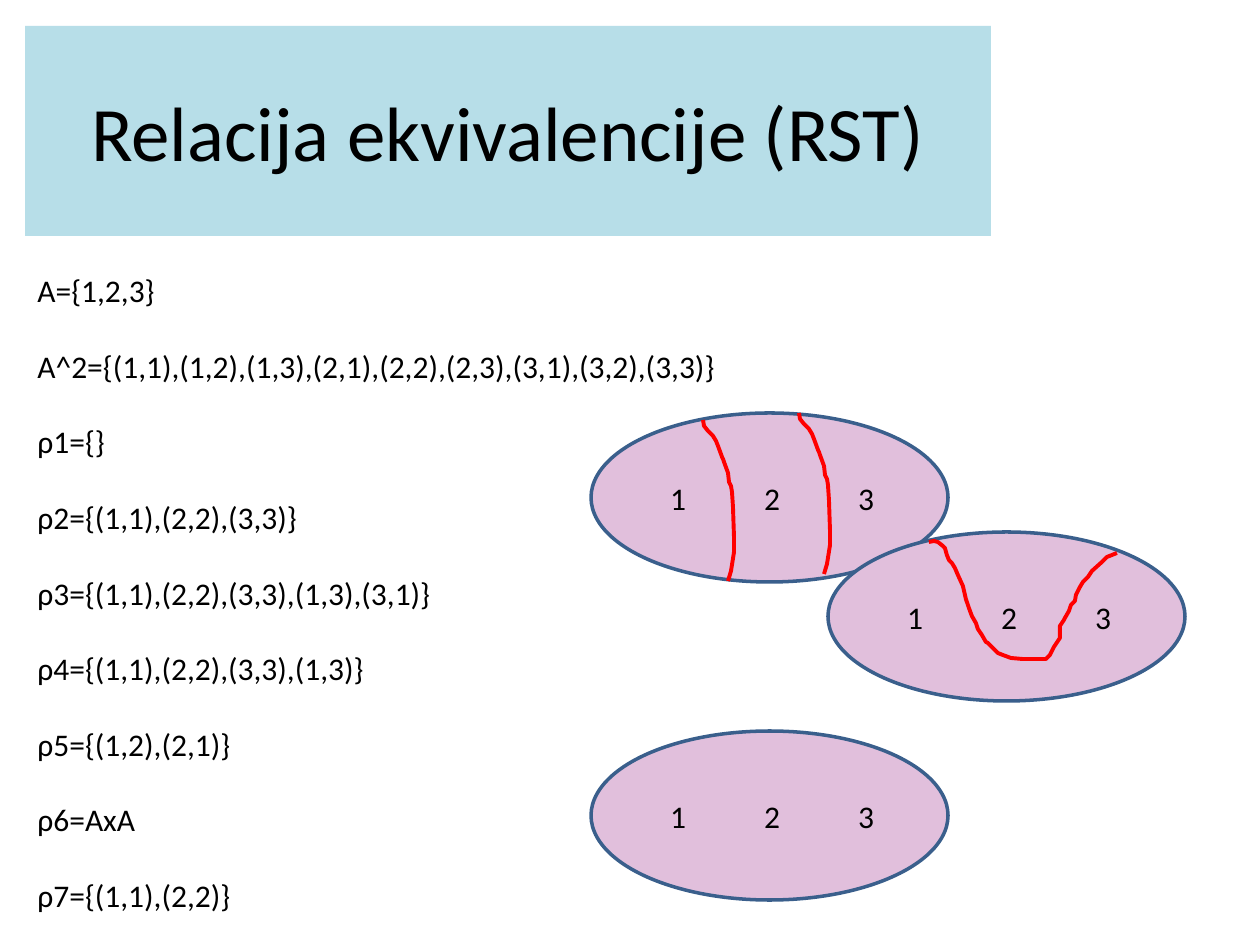
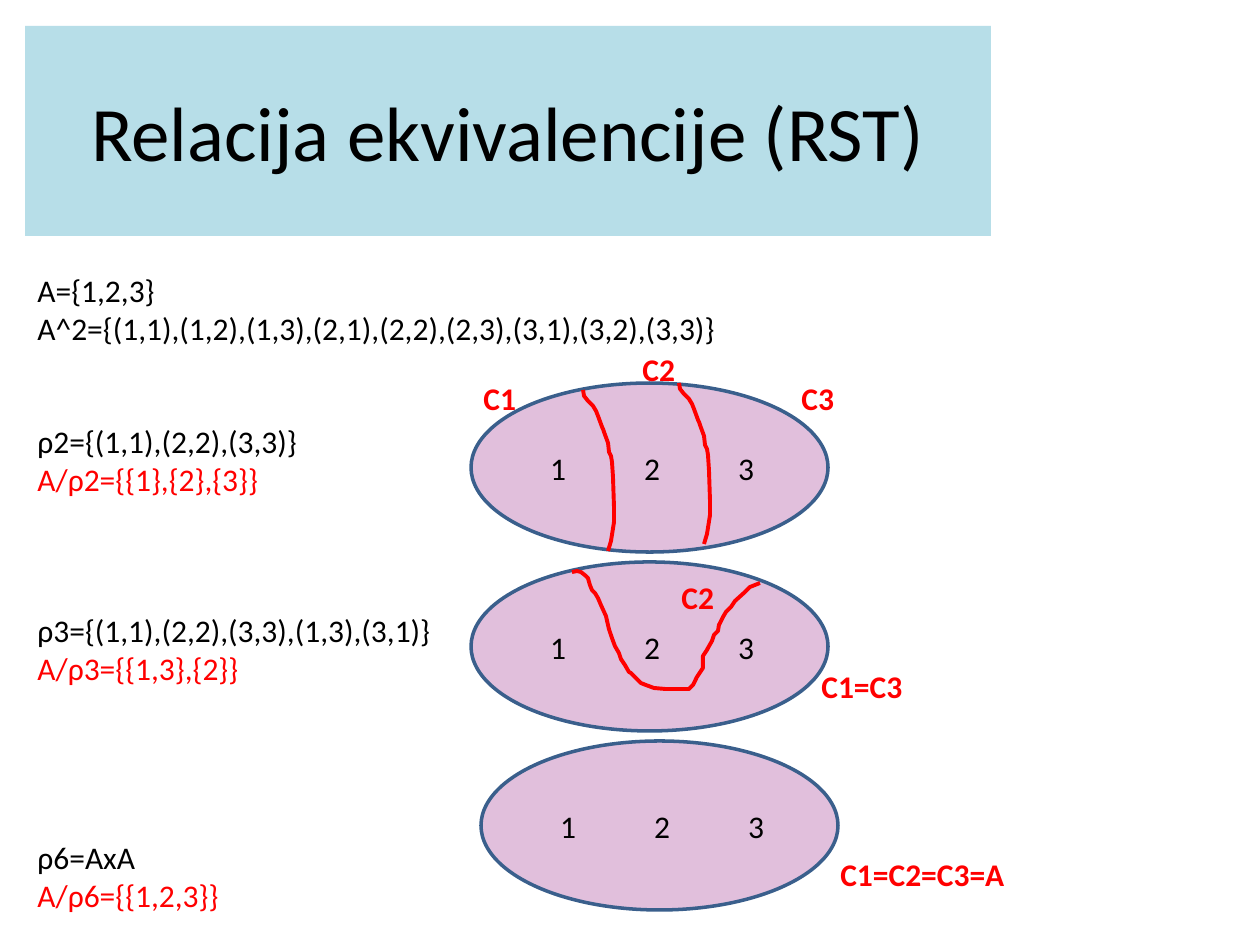
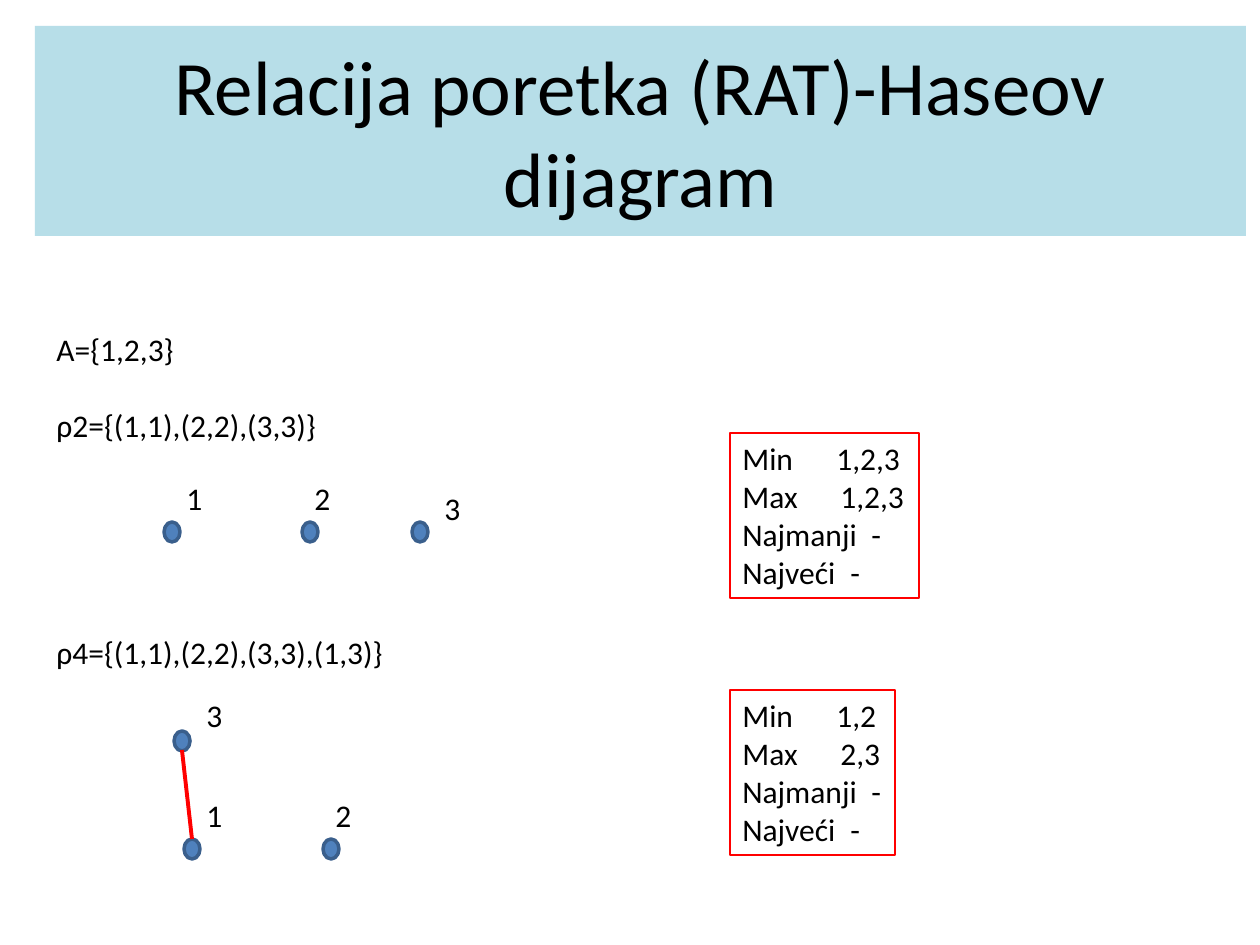
from lxml.etree import SubElement
from pptx import Presentation
from pptx.dml.color import RGBColor
from pptx.enum.shapes import MSO_CONNECTOR, MSO_SHAPE
from pptx.enum.text import MSO_ANCHOR, PP_ALIGN
from pptx.oxml.ns import qn
from pptx.util import Pt

PIXEL = 914400 / 126
FONT = "Calibri"
BLACK, RED = "000000", "FF0000"
BAND, SET_FILL, OUTLINE, NODE_FILL = "B7DEE8", "E1BFDC", "3A5F8C", "4F81BD"
LINE_HEIGHT = 21.6
SET_WIDTH, SET_HEIGHT = 357, 169
DIGIT_STEP = 94


def color(value):
    return RGBColor.from_string(value)


def write(shape, lines, size=18, bold=False, align=PP_ALIGN.LEFT, anchor=MSO_ANCHOR.TOP):
    frame = shape.text_frame
    frame.word_wrap = True
    frame.vertical_anchor = anchor
    for index, (text, text_color, blank_lines, stops) in enumerate(lines):
        paragraph = frame.paragraphs[0] if index == 0 else frame.add_paragraph()
        paragraph.alignment = align
        paragraph.space_before = Pt(blank_lines * LINE_HEIGHT)
        if stops:
            tab_list = SubElement(paragraph._p.get_or_add_pPr(), qn("a:tabLst"))
            for stop in stops:
                SubElement(tab_list, qn("a:tab"), pos=str(round(stop * PIXEL)), algn="l")
        run = paragraph.add_run()
        run.text = text
        run.font.name = FONT
        run.font.size = Pt(size)
        run.font.bold = bold
        run.font.color.rgb = color(text_color)


presentation = Presentation()
presentation.slide_width = round(1260 * PIXEL)
presentation.slide_height = round(945 * PIXEL)

equivalence = "Relacija ekvivalencije (RST)"
order = "Relacija poretka (RAT)-Haseov dijagram"
slides = []
for title, left, width in [(equivalence, 25, 966), (equivalence, 25, 966), (order, 35, 1211)]:
    slide = presentation.slides.add_slide(presentation.slide_layouts[6])
    band = slide.shapes.add_shape(
        MSO_SHAPE.RECTANGLE, *[round(v * PIXEL) for v in (left, 26, width, 210)])
    band.shadow.inherit = False
    band.fill.solid()
    band.fill.fore_color.rgb = color(BAND)
    band.line.fill.background()
    write(band, [(title, BLACK, 0, ())], 44, False, PP_ALIGN.CENTER, MSO_ANCHOR.MIDDLE)
    slides.append(slide)
relations_slide, classes_slide, order_slide = slides

product = "A^2={(1,1),(1,2),(1,3),(2,1),(2,2),(2,3),(3,1),(3,2),(3,3)}"
diagonal = "ρ2={(1,1),(2,2),(3,3)}"
symmetric = "ρ3={(1,1),(2,2),(3,3),(1,3),(3,1)}"
ordered = "ρ4={(1,1),(2,2),(3,3),(1,3)}"
relations = ["A={1,2,3}", product, "ρ1={}", diagonal, symmetric, ordered,
             "ρ5={(1,2),(2,1)}", "ρ6=AxA", "ρ7={(1,1),(2,2)}"]
bodies = [
    (relations_slide, 25, 265, 712,
     [(text, BLACK, min(index, 1), ()) for index, text in enumerate(relations)]),
    (classes_slide, 25, 265, 712, [
        ("A={1,2,3}", BLACK, 0, ()),
        (product, BLACK, 0, ()),
        (diagonal, BLACK, 2, ()),
        ("A/ρ2={{1},{2},{3}}", RED, 0, ()),
        (symmetric, BLACK, 3, ()),
        ("A/ρ3={{1,3},{2}}", RED, 0, ()),
        ("ρ6=AxA", BLACK, 4, ()),
        ("A/ρ6={{1,2,3}}", RED, 0, ()),
    ]),
    (order_slide, 44, 324, 534, [
        ("A={1,2,3}", BLACK, 0, ()),
        (diagonal, BLACK, 1, ()),
        (ordered, BLACK, 5, ()),
    ]),
]
for slide, left, top, width, lines in bodies:
    body = slide.shapes.add_textbox(
        *[round(v * PIXEL) for v in (left, top, width, 935 - top)])
    write(body, lines)

divider = [(0, 0), (1, 6), (5, 11), (10, 16), (13, 21), (15, 26), (19, 37), (20, 39),
           (21, 42), (25, 53), (26, 62), (28, 66), (29, 72), (30, 87), (31, 118),
           (31, 132), (28, 151), (25, 161)]
valley = [(0, 0), (5, -1), (9, 0), (14, 4), (16, 6), (18, 13), (20, 18), (23, 21), (26, 26),
          (29, 33), (34, 44), (37, 57), (40, 66), (43, 74), (47, 81), (49, 87), (53, 93),
          (57, 100), (59, 101), (63, 105), (69, 111), (74, 113), (82, 116), (94, 117),
          (117, 117), (121, 113), (125, 105), (131, 96), (131, 84), (135, 78), (136, 76),
          (140, 69), (142, 63), (146, 59), (147, 53), (151, 45), (154, 40), (159, 35),
          (163, 29), (173, 20), (178, 15), (183, 13), (188, 11)]
three_classes = [(divider, 112, 7), (divider, 208, 0)]
two_classes = [(valley, 101, 10)]
sets = [
    (relations_slide, 591, 413, three_classes),
    (relations_slide, 828, 532, two_classes),
    (relations_slide, 591, 731, []),
    (classes_slide, 471, 383, three_classes),
    (classes_slide, 471, 562, two_classes),
    (classes_slide, 481, 741, []),
]
for slide, left, top, strokes in sets:
    ellipse = slide.shapes.add_shape(
        MSO_SHAPE.OVAL, *[round(v * PIXEL) for v in (left, top, SET_WIDTH, SET_HEIGHT)])
    ellipse.shadow.inherit = False
    ellipse.fill.solid()
    ellipse.fill.fore_color.rgb = color(SET_FILL)
    ellipse.line.color.rgb = color(OUTLINE)
    ellipse.line.width = Pt(2)
    ellipse.text_frame.margin_left = round(27 * PIXEL)
    write(ellipse, [("1\t2\t3", BLACK, 0, (DIGIT_STEP, 2 * DIGIT_STEP))],
          anchor=MSO_ANCHOR.MIDDLE)
    for points, offset_x, offset_y in strokes:
        builder = slide.shapes.build_freeform(*points[0], scale=PIXEL)
        builder.add_line_segments(points[1:], close=False)
        stroke = builder.convert_to_shape(
            round((left + offset_x) * PIXEL), round((top + offset_y) * PIXEL))
        stroke.shadow.inherit = False
        stroke.fill.background()
        stroke.line.color.rgb = color(RED)
        stroke.line.width = Pt(2.25)

nodes = [(164, 522), (302, 522), (412, 522), (184, 839), (323, 839), (174, 731)]
for left, top in nodes:
    node = order_slide.shapes.add_shape(
        MSO_SHAPE.OVAL, *[round(v * PIXEL) for v in (left, top, 16, 20)])
    node.shadow.inherit = False
    node.fill.solid()
    node.fill.fore_color.rgb = color(NODE_FILL)
    node.line.color.rgb = color(OUTLINE)
    node.line.width = Pt(2)

edge = order_slide.shapes.add_connector(
    MSO_CONNECTOR.STRAIGHT, *[round(v * PIXEL) for v in (192, 839, 182, 750)])
edge.line.color.rgb = color(RED)
edge.line.width = Pt(2.25)
SubElement(edge._element.spPr, qn("a:effectLst"))

labels = [
    (classes_slide, "C1", 471, 373, 58, RED),
    (classes_slide, "C2", 630, 344, 58, RED),
    (classes_slide, "C3", 789, 373, 58, RED),
    (classes_slide, "C1=C3", 809, 661, 107, RED),
    (classes_slide, "C2", 669, 572, 58, RED),
    (classes_slide, "C1=C2=C3=A", 828, 849, 192, RED),
    (order_slide, "1", 174, 473, 42, BLACK),
    (order_slide, "2", 302, 473, 42, BLACK),
    (order_slide, "3", 432, 483, 42, BLACK),
    (order_slide, "1", 194, 790, 42, BLACK),
    (order_slide, "2", 323, 790, 42, BLACK),
    (order_slide, "3", 194, 690, 42, BLACK),
]
for slide, text, left, top, width, text_color in labels:
    label = slide.shapes.add_textbox(*[round(v * PIXEL) for v in (left, top, width, 50)])
    label.text_frame.margin_right = 0
    write(label, [(text, text_color, 0, ())], bold=text_color == RED)

for top, width, minimal, maximal in [(433, 189, "1,2,3", "1,2,3"), (690, 165, "1,2", "2,3")]:
    summary = order_slide.shapes.add_textbox(
        *[round(v * PIXEL) for v in (730, top, width, 165)])
    summary.line.color.rgb = color(RED)
    summary.line.width = Pt(0.75)
    summary.text_frame.margin_right = 0
    write(summary, [
        (f"Min\t{minimal}", BLACK, 0, (94,)),
        (f"Max\t{maximal}", BLACK, 0, (98,)),
        ("Najmanji\t-", BLACK, 0, (129,)),
        ("Najveći\t-", BLACK, 0, (108,)),
    ])

presentation.save("out.pptx")
